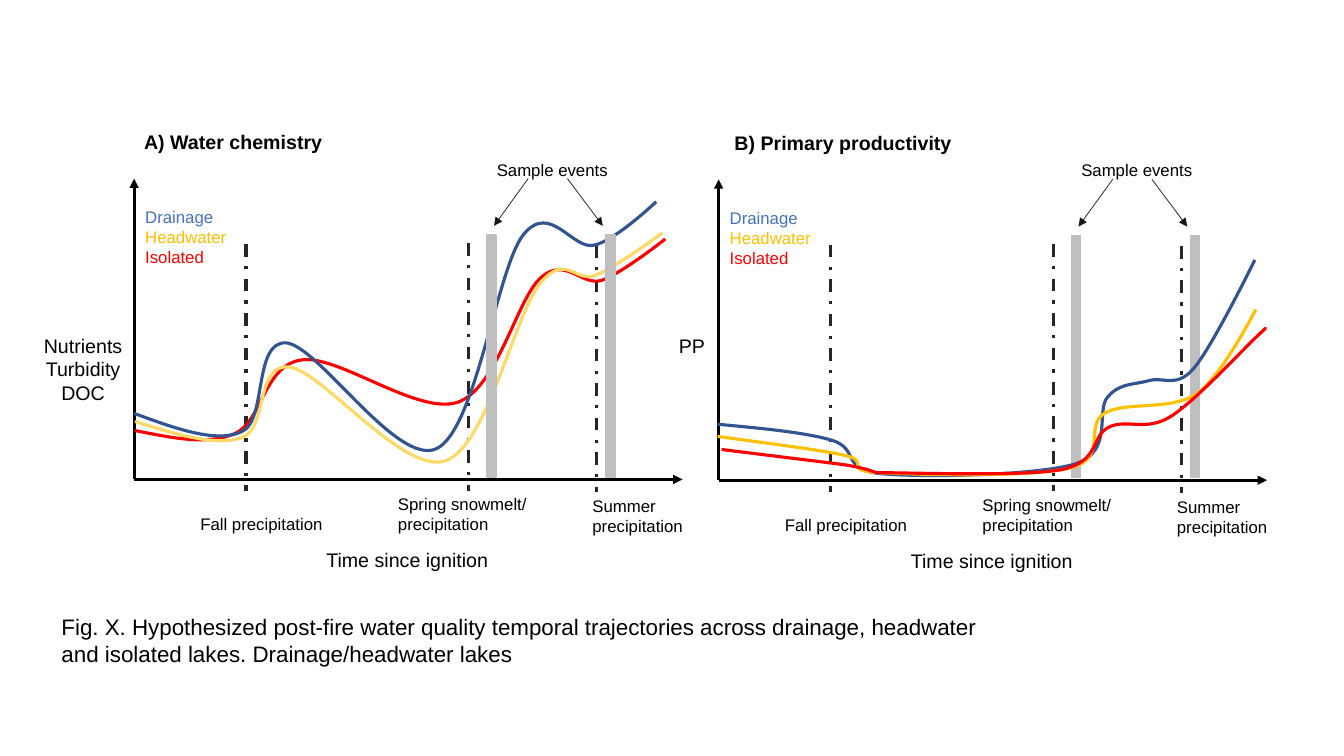
from lxml.etree import SubElement
from pptx import Presentation
from pptx.dml.color import RGBColor
from pptx.enum.dml import MSO_LINE
from pptx.enum.shapes import MSO_CONNECTOR, MSO_SHAPE
from pptx.enum.text import PP_ALIGN
from pptx.oxml.ns import qn
from pptx.util import Cm, Pt

COLORS = {
    "black": "000000", "marker": "262626", "arrow": "181717", "bar": "BFBFBF",
    "drainage_label": "4472C4", "drainage": "325491",
    "headwater": "FFC000", "headwater_light": "FFD966", "isolated": "FF0000",
}
LEGEND = {"Drainage": "drainage_label", "Headwater": "headwater", "Isolated": "isolated"}
CURVE_UNIT = 0.0254
PLOT_WIDTH, PLOT_HEIGHT = 13.82, 7.58
LABEL_WIDTH = 4.06

PRECIPITATION = [
    (2.82, 1.65, "Fall precipitation", 1.42, 8.33, 0.76),
    (8.43, 1.63, "Spring snowmelt/ precipitation", 6.4, 7.82, 1.27),
    (11.66, 1.68, "Summer precipitation", 11.3, 7.87, 1.27),
]
SAMPLE_EVENTS = [(8.89, 9.93, 9.07), (11.89, 10.92, 11.81)]

CHEMISTRY_CURVES = {
    "isolated": [
        (1, 250), (37, 257), (72, 265), (100, 253), (127, 241), (129, 185), (166, 180),
        (202, 174), (281, 235), (321, 222), (361, 208), (380, 118), (404, 98),
        (428, 77), (444, 107), (464, 101), (484, 94), (527, 60), (527, 60)],
    "headwater_light": [
        (1, 241), (42, 254), (82, 266), (107, 257), (133, 248), (120, 183), (154, 187),
        (187, 191), (267, 294), (309, 280), (350, 266), (378, 134), (403, 104),
        (428, 73), (438, 104), (458, 96), (478, 88), (524, 54), (524, 54)],
    "drainage": [
        (0, 233), (41, 248), (82, 263), (107, 251), (132, 240), (118, 161), (151, 163),
        (183, 166), (261, 286), (300, 268), (339, 250), (360, 89), (386, 56),
        (413, 22), (435, 72), (457, 66), (478, 61), (518, 23), (518, 23)],
}
PRODUCTIVITY_CURVES = {
    "drainage": [
        (-1, 243), (42, 247), (86, 251), (113, 259), (140, 268), (121, 288), (161, 292),
        (202, 296), (317, 294), (355, 282), (392, 269), (374, 230), (386, 216),
        (398, 202), (411, 204), (426, 200), (440, 195), (454, 208), (471, 188),
        (489, 168), (532, 80), (532, 80)],
    "headwater": [
        (-1, 255), (49, 262), (99, 268), (126, 274), (152, 280), (121, 289), (159, 291),
        (196, 293), (312, 296), (350, 286), (387, 276), (362, 245), (383, 232),
        (403, 220), (448, 230), (474, 213), (499, 196), (533, 129), (533, 129)],
    "isolated": [
        (3, 268), (43, 273), (84, 278), (124, 283), (149, 287), (156, 291), (156, 291),
        (192, 291), (302, 295), (340, 288), (379, 280), (369, 255), (387, 246),
        (405, 237), (424, 251), (449, 235), (473, 220), (521, 168), (535, 155),
        (549, 142), (541, 149), (534, 156)],
}


def rgb(name):
    """Return the named colour."""
    return RGBColor.from_string(COLORS[name])


def add_text(slide, box, lines, size, colors=("black",), bold=False, align=PP_ALIGN.LEFT):
    """Write one paragraph per line in a wrapped box, cycling through the colours."""
    frame = slide.shapes.add_textbox(*map(Cm, box)).text_frame
    frame.word_wrap = True
    frame.text = "\n".join(lines)
    for index, paragraph in enumerate(frame.paragraphs):
        paragraph.alignment = align
        font = paragraph.font
        font.name, font.size, font.bold = "Arial", Pt(size), bold
        font.color.rgb = rgb(colors[index % len(colors)])


def add_line(slide, start, end, color, width, arrow=False, dash=None):
    """Draw a straight line, optionally dashed or with an arrowhead at its end."""
    connector = slide.shapes.add_connector(MSO_CONNECTOR.STRAIGHT, *map(Cm, start + end))
    connector.line.color.rgb = rgb(color)
    connector.line.width = Pt(width)
    if dash:
        connector.line.dash_style = dash
    if arrow:
        SubElement(connector.line._get_or_add_ln(), qn("a:tailEnd"), type="triangle")
    SubElement(connector._element.spPr, qn("a:effectLst"))


def add_curve(slide, left, top, points, color):
    """Draw a start point followed by Bézier triples as one smooth open curve."""
    corners = [(Cm(left + x * CURVE_UNIT), Cm(top + y * CURVE_UNIT)) for x, y in points]
    builder = slide.shapes.build_freeform(*corners[0], scale=1.0)
    builder.add_line_segments(corners[1:], close=False)
    curve = builder.convert_to_shape()
    curve.shadow.inherit = False
    curve.fill.background()
    curve.line.color.rgb = rgb(color)
    curve.line.width = Pt(2.25)
    outline = curve._element.find(".//" + qn("a:path"))
    segments = outline.findall(qn("a:lnTo"))
    for first in range(0, len(segments), 3):
        bezier = SubElement(outline, qn("a:cubicBezTo"))
        for segment in segments[first:first + 3]:
            bezier.append(segment[0])
            outline.remove(segment)


def add_curves(slide, left, top, curves):
    """Draw the trajectory of each lake type."""
    for color, points in curves.items():
        add_curve(slide, left, top, points, color)


def add_sample_events(slide, left, top):
    """Draw the sampling bars with the label and arrows pointing at them."""
    for bar_x, arrow_x, tip_x in SAMPLE_EVENTS:
        bar = slide.shapes.add_shape(
            MSO_SHAPE.RECTANGLE, Cm(left + bar_x), Cm(top + 1.42), Cm(0.23), Cm(6.1))
        bar.shadow.inherit = False
        bar.fill.solid()
        bar.fill.fore_color.rgb = bar.line.color.rgb = rgb("bar")
        bar.line.width = Pt(1)
        add_line(slide, (left + arrow_x, top), (left + tip_x, top + 1.19),
                 "arrow", 0.5, arrow=True)
    add_text(slide, (left + 8.89, top - 0.61, LABEL_WIDTH, 0.76), ["Sample events"], 12)


def add_panel(slide, left, top, title, title_x, measures, measures_box, curves, bars_on_top):
    """Draw one graph whose plot area starts at the given corner."""
    add_text(slide, (left + title_x, top - 1.35, 13.56, 0.86), [title], 14, bold=True)
    origin = (left, top + PLOT_HEIGHT)
    add_line(slide, origin, (left, top), "black", 2.25, arrow=True)
    add_line(slide, origin, (left + PLOT_WIDTH, top + PLOT_HEIGHT), "black", 2.25, arrow=True)
    measures_x, width, height = measures_box
    add_text(slide, (left + measures_x, top + 3.78, width, height), measures, 14,
             align=PP_ALIGN.CENTER)
    for marker_x, marker_y, season, label_x, label_y, label_height in PRECIPITATION:
        add_line(slide, (left + marker_x, top + marker_y),
                 (left + marker_x, top + marker_y + 6.23),
                 "marker", 2.25, dash=MSO_LINE.DASH_DOT)
        add_text(slide, (left + label_x, top + label_y, LABEL_WIDTH, label_height), [season], 12)
    add_text(slide, (left, top + 9.19, 13.77, 0.86), ["Time since ignition"], 14,
             align=PP_ALIGN.CENTER)
    add_text(slide, (left + 0.03, top + 0.58, LABEL_WIDTH, 1.8), list(LEGEND), 12,
             colors=list(LEGEND.values()))
    if bars_on_top:
        add_curves(slide, left, top, curves)
        add_sample_events(slide, left, top)
    else:
        add_sample_events(slide, left, top)
        add_curves(slide, left, top, curves)


def add_caption(slide, left, top, width, height):
    """Write the figure caption."""
    add_text(slide, (left, top, width, height), [
        "Fig. X. Hypothesized post-fire water quality temporal trajectories across drainage, "
        "headwater and isolated lakes. Drainage/headwater lakes"], 16)


def main():
    """Build the slide and save it."""
    deck = Presentation()
    deck.slide_width, deck.slide_height = Cm(33.87), Cm(19.05)
    slide = deck.slides.add_slide(deck.slide_layouts[6])
    add_panel(slide, 3.38, 4.5, "A) Water chemistry", 0,
              ["Nutrients", "Turbidity", "DOC"], (-3.84, 5.11, 2.06),
              CHEMISTRY_CURVES, bars_on_top=True)
    add_panel(slide, 18.11, 4.52, "B) Primary productivity", 0.15,
              ["PP"], (-2.26, 3.18, 0.86),
              PRODUCTIVITY_CURVES, bars_on_top=False)
    add_caption(slide, 1.3, 15.32, 24.03, 1.63)
    deck.save("out.pptx")


if __name__ == "__main__":
    main()
